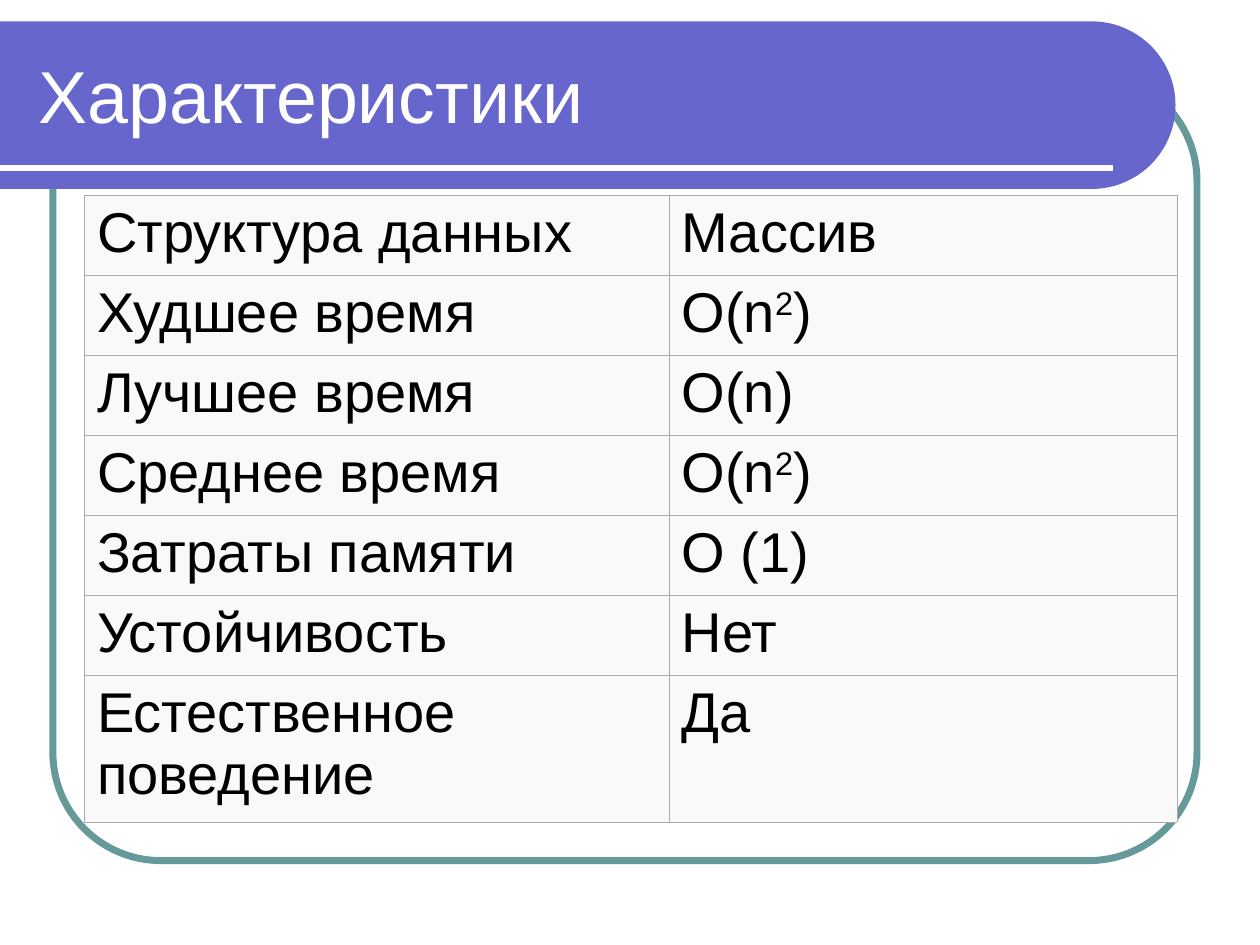
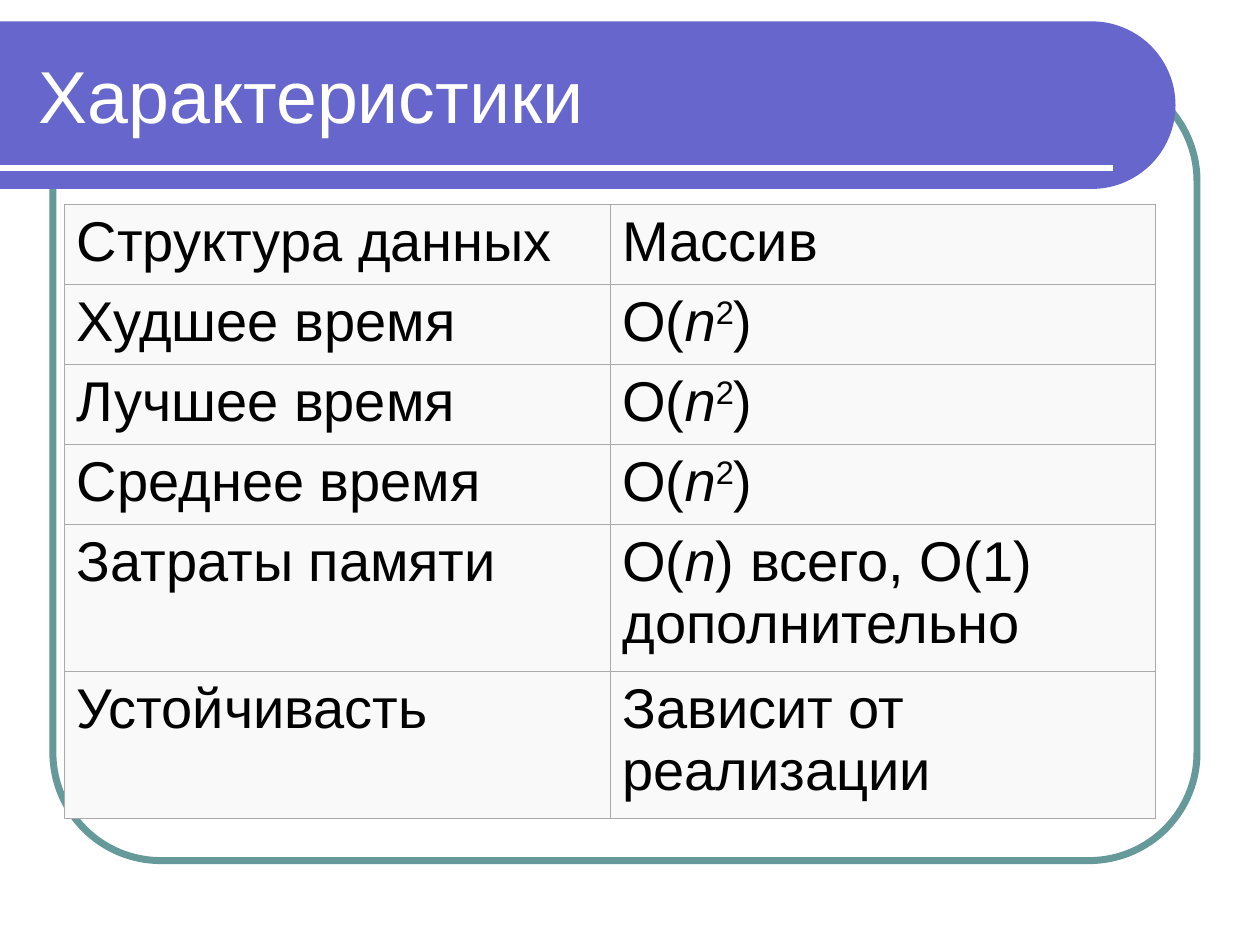
from math import cos, pi, sin

from lxml.etree import SubElement
from pptx import Presentation
from pptx.dml.color import RGBColor
from pptx.enum.shapes import MSO_CONNECTOR, MSO_SHAPE
from pptx.enum.text import MSO_ANCHOR
from pptx.oxml.ns import qn
from pptx.util import Inches, Pt

COLORS = {
    "band": "6666CC",
    "frame": "669999",
    "white": "FFFFFF",
    "text": "000000",
    "cell": "F9F9F9",
    "border": "AAAAAA",
}
FONT = "Arial"
ROW = 0.635  # height of a one-line table row
TALL = 1.165  # height of a two-line table row

# Cell text is a list of (text, style) runs
SQUARE = [("O(n", ""), ("2", "sup"), (")", "")]
SQUARE_ITALIC = [("О(", ""), ("n", "italic"), ("2", "sup"), (")", "")]
MEMORY = [("О(", ""), ("n", "italic"), (") всего, O(1) дополнительно", "")]

SLIDES = [
    {
        "title": "Характеристики",
        "box": (0.67, 1.55),
        "cols": (4.64, 4.03),
        "rows": [
            ("Структура данных", "Массив", ROW),
            ("Худшее время", SQUARE, ROW),
            ("Лучшее время", "O(n)", ROW),
            ("Среднее время", SQUARE, ROW),
            ("Затраты памяти", "O (1)", ROW),
            ("Устойчивость", "Нет", ROW),
            ("Естественное поведение", "Да", TALL),
        ],
    },
    {
        "title": "Характеристики",
        "box": (0.51, 1.62),
        "cols": (4.33, 4.33),
        "rows": [
            ("Структура данных", "Массив", ROW),
            ("Худшее время", SQUARE_ITALIC, ROW),
            ("Лучшее время", SQUARE_ITALIC, ROW),
            ("Среднее время", SQUARE_ITALIC, ROW),
            ("Затраты памяти", MEMORY, TALL),
            ("Устойчивасть", "Зависит от реализации", TALL),
        ],
    },
]


def rgb(name):
    return RGBColor.from_string(COLORS[name])


def add_runs(p, content, size, color):
    runs = [(content, "")] if isinstance(content, str) else content
    for text, style in runs:
        r = p.add_run()
        r.text = text
        r.font.name, r.font.size = FONT, Pt(size)
        r.font.color.rgb = rgb(color)
        if style == "italic":
            r.font.italic = True
        elif style == "sup":
            r._r.get_or_add_rPr().set("baseline", "30000")


def draw_frame(s, x, y, w, h):
    sp = s.shapes.add_shape(MSO_SHAPE.ROUNDED_RECTANGLE,
                            Inches(x), Inches(y), Inches(w), Inches(h))
    sp.adjustments[0] = 0.137
    sp.shadow.inherit = False
    sp.fill.background()
    sp.line.color.rgb = rgb("frame")
    sp.line.width = Pt(4)


def draw_title_band(s, title, x, y, w, h):
    # Band with a semicircular right end
    radius, steps = h / 2, 60
    cx, cy = x + w - radius, y + radius
    angles = [pi * (i / steps - 0.5) for i in range(steps + 1)]
    arc = [(Inches(cx + radius * cos(a)), Inches(cy + radius * sin(a)))
           for a in angles]
    outline = s.shapes.build_freeform(Inches(x), Inches(y))
    outline.add_line_segments(arc + [(Inches(x), Inches(y + h))])
    band = outline.convert_to_shape()
    band.shadow.inherit = False
    band.fill.solid()
    band.fill.fore_color.rgb = rgb("band")
    band.line.fill.background()

    # White rule near the bottom of the band
    rule_y = Inches(y + h * 0.875)
    rule = s.shapes.add_connector(MSO_CONNECTOR.STRAIGHT, Inches(x), rule_y,
                                  Inches(x + w - 0.5), rule_y)
    rule.line.color.rgb = rgb("white")
    rule.line.width = Pt(3)
    SubElement(rule._element.spPr, qn("a:effectLst"))

    # Title
    box = s.shapes.add_textbox(Inches(x + 0.21), Inches(y + 0.08),
                               Inches(w - 0.56), Inches(h * 0.75))
    tf = box.text_frame
    tf.word_wrap = True
    tf.vertical_anchor = MSO_ANCHOR.MIDDLE
    add_runs(tf.paragraphs[0], title, 42, "white")


def set_borders(cell):
    tcPr = cell._tc.get_or_add_tcPr()
    for i, side in enumerate(("lnL", "lnR", "lnT", "lnB")):
        ln = tcPr.makeelement(qn(f"a:{side}"), {"w": str(Pt(0.34))})
        fill = SubElement(ln, qn("a:solidFill"))
        SubElement(fill, qn("a:srgbClr"), val=COLORS["border"])
        tcPr.insert(i, ln)


def draw_table(s, x, y, cols, rows):
    height = sum(row[-1] for row in rows)
    table = s.shapes.add_table(len(rows), len(cols), Inches(x), Inches(y),
                               Inches(sum(cols)), Inches(height)).table
    table.first_row = table.horz_banding = False
    for column, width in zip(table.columns, cols):
        column.width = Inches(width)
    for row, (*contents, row_height) in zip(table.rows, rows):
        row.height = Inches(row_height)
        for cell, content in zip(row.cells, contents):
            cell.fill.solid()
            cell.fill.fore_color.rgb = rgb("cell")
            set_borders(cell)
            add_runs(cell.text_frame.paragraphs[0], content, 32, "text")


def add_table_slide(prs, data):
    s = prs.slides.add_slide(prs.slide_layouts[6])
    draw_frame(s, 0.42, 0.58, 9.08, 6.25)
    draw_title_band(s, data["title"], 0, 0.17, 9.33, 1.33)
    draw_table(s, *data["box"], data["cols"], data["rows"])


def main():
    prs = Presentation()
    prs.slide_width, prs.slide_height = Inches(10), Inches(7.5)
    for data in SLIDES:
        add_table_slide(prs, data)
    prs.save("out.pptx")


if __name__ == "__main__":
    main()
